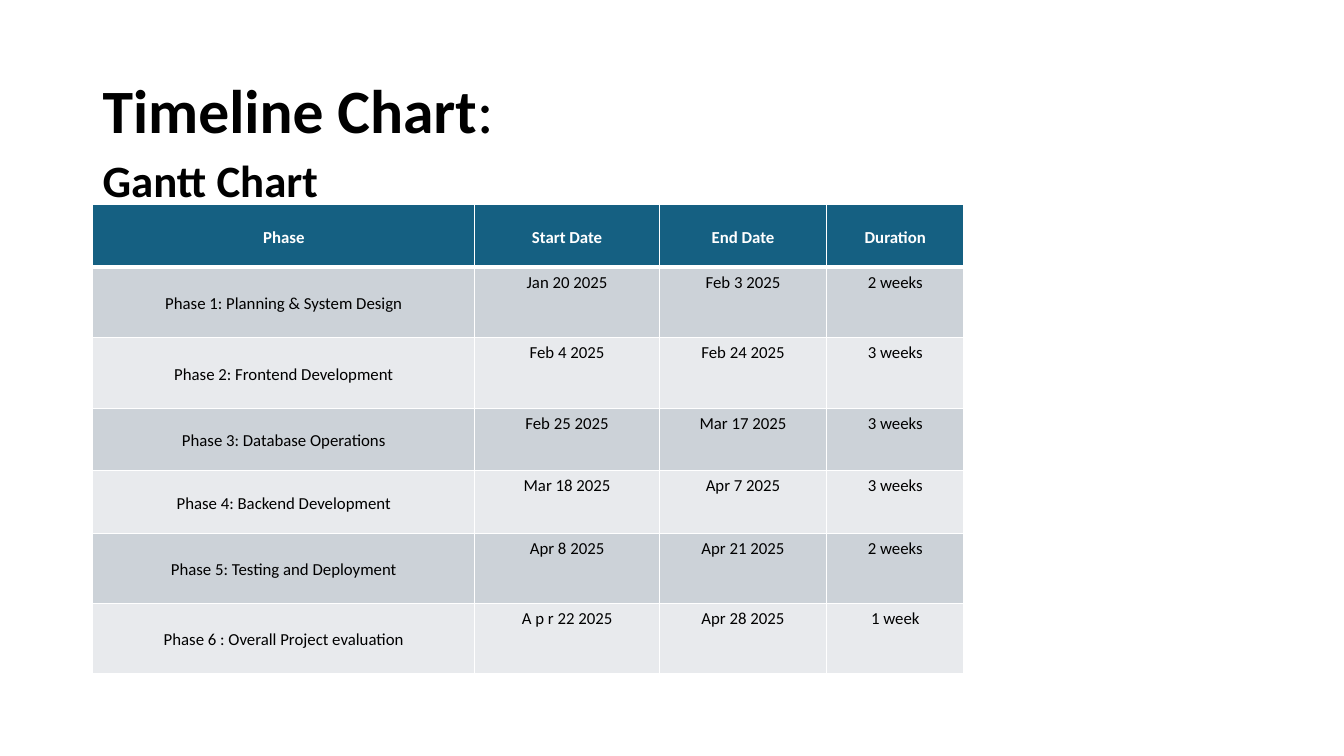
from lxml.etree import SubElement
from pptx import Presentation
from pptx.dml.color import RGBColor
from pptx.enum.text import MSO_ANCHOR, PP_ALIGN
from pptx.oxml.ns import qn
from pptx.util import Inches, Pt

BLACK = RGBColor(0x00, 0x00, 0x00)
WHITE = RGBColor(0xFF, 0xFF, 0xFF)
TEAL = RGBColor(0x15, 0x60, 0x82)
GREY = RGBColor(0xCC, 0xD2, 0xD8)
PALE = RGBColor(0xE8, 0xEA, 0xED)

LEFT = Inches(0.92)
WIDTHS = [3.79, 1.83, 1.66, 1.36]
HEIGHTS = [0.62, 0.7, 0.7, 0.62, 0.62, 0.7, 0.69]
ROWS = [
    ["Phase", "Start Date", "End Date", "Duration"],
    ["Phase 1: Planning & System Design", "Jan 20 2025", "Feb 3 2025", "2 weeks"],
    ["Phase 2: Frontend Development", "Feb 4 2025", "Feb 24 2025", "3 weeks"],
    ["Phase 3: Database Operations", "Feb 25 2025", "Mar 17 2025", "3 weeks"],
    ["Phase 4: Backend Development", "Mar 18 2025", "Apr 7 2025", "3 weeks"],
    ["Phase 5: Testing and Deployment", "Apr 8 2025", "Apr 21 2025", "2 weeks"],
    ["Phase 6 : Overall Project evaluation", "A p r 22 2025", "Apr 28 2025", "1 week"],
]


def add_run(para, text, size, color=BLACK, bold=True):
    run = para.add_run()
    run.text = text
    font = run.font
    font.name, font.size, font.bold = "Calibri", Pt(size), bold
    font.color.rgb = color


def add_edge(cell, side, width):
    """Draw one white border; call before the cell is filled."""
    line = SubElement(cell._tc.get_or_add_tcPr(), qn(f"a:ln{side}"), w=str(Pt(width)))
    fill = SubElement(line, qn("a:solidFill"))
    SubElement(fill, qn("a:srgbClr"), val=str(WHITE))


prs = Presentation()
prs.slide_width, prs.slide_height = Inches(13.33), Inches(7.5)
slide = prs.slides.add_slide(prs.slide_layouts[6])

# Title
title = slide.shapes.add_textbox(LEFT, Inches(0.4), Inches(11.5), Inches(1.45))
frame = title.text_frame
frame.word_wrap = True
frame.vertical_anchor = MSO_ANCHOR.MIDDLE
para = frame.paragraphs[0]
para.line_spacing = 0.9
add_run(para, "Timeline Chart", 44)
add_run(para, ":", 44, bold=False)

# Schedule table
table = slide.shapes.add_table(
    len(ROWS), len(WIDTHS), LEFT, Inches(2.03),
    Inches(sum(WIDTHS)), Inches(sum(HEIGHTS))).table
for col, width in zip(table.columns, WIDTHS):
    col.width = Inches(width)
for row, height in zip(table.rows, HEIGHTS):
    row.height = Inches(height)

for r, texts in enumerate(ROWS):
    head = r == 0
    for c, text in enumerate(texts):
        cell = table.cell(r, c)
        add_edge(cell, "L", 1)
        add_edge(cell, "R", 1)
        add_edge(cell, "T", 3 if r == 1 else 1)
        add_edge(cell, "B", 3 if head else 1)
        cell.fill.solid()
        cell.fill.fore_color.rgb = TEAL if head else GREY if r % 2 else PALE
        para = cell.text_frame.paragraphs[0]
        para.alignment = PP_ALIGN.CENTER
        if head or c == 0:
            cell.vertical_anchor = MSO_ANCHOR.MIDDLE
            cell.margin_left = cell.margin_right = Inches(0.01)
            cell.margin_top = cell.margin_bottom = Inches(0.01)
            para.line_spacing = 1.15
            para.space_after = Pt(8)
        add_run(para, text, 12, WHITE if head else BLACK, head)

# Subtitle
label = slide.shapes.add_textbox(LEFT, Inches(1.47), Inches(2.48), Inches(0.94))
label.text_frame.word_wrap = True
add_run(label.text_frame.paragraphs[0], "Gantt Chart", 32)

prs.save("out.pptx")
